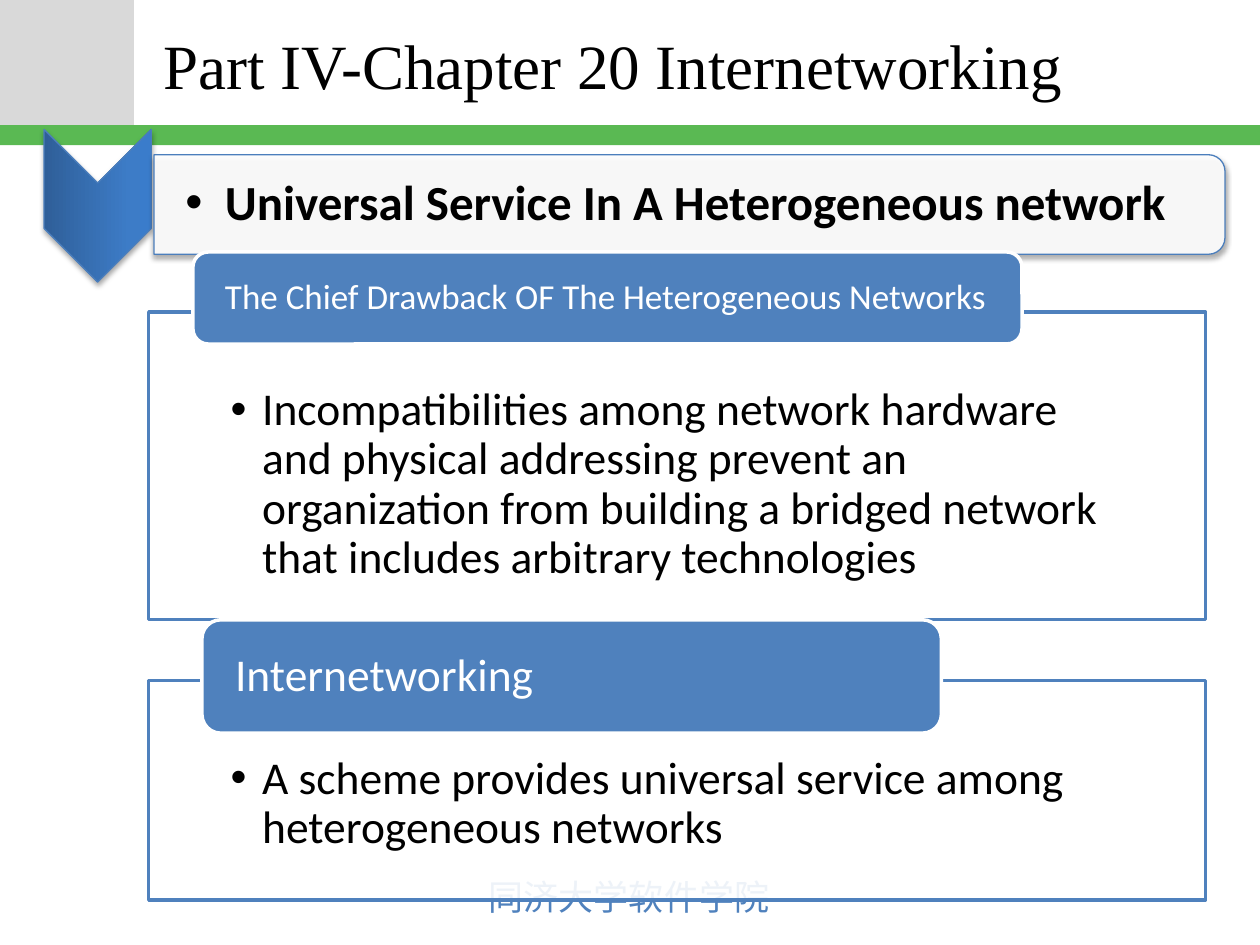
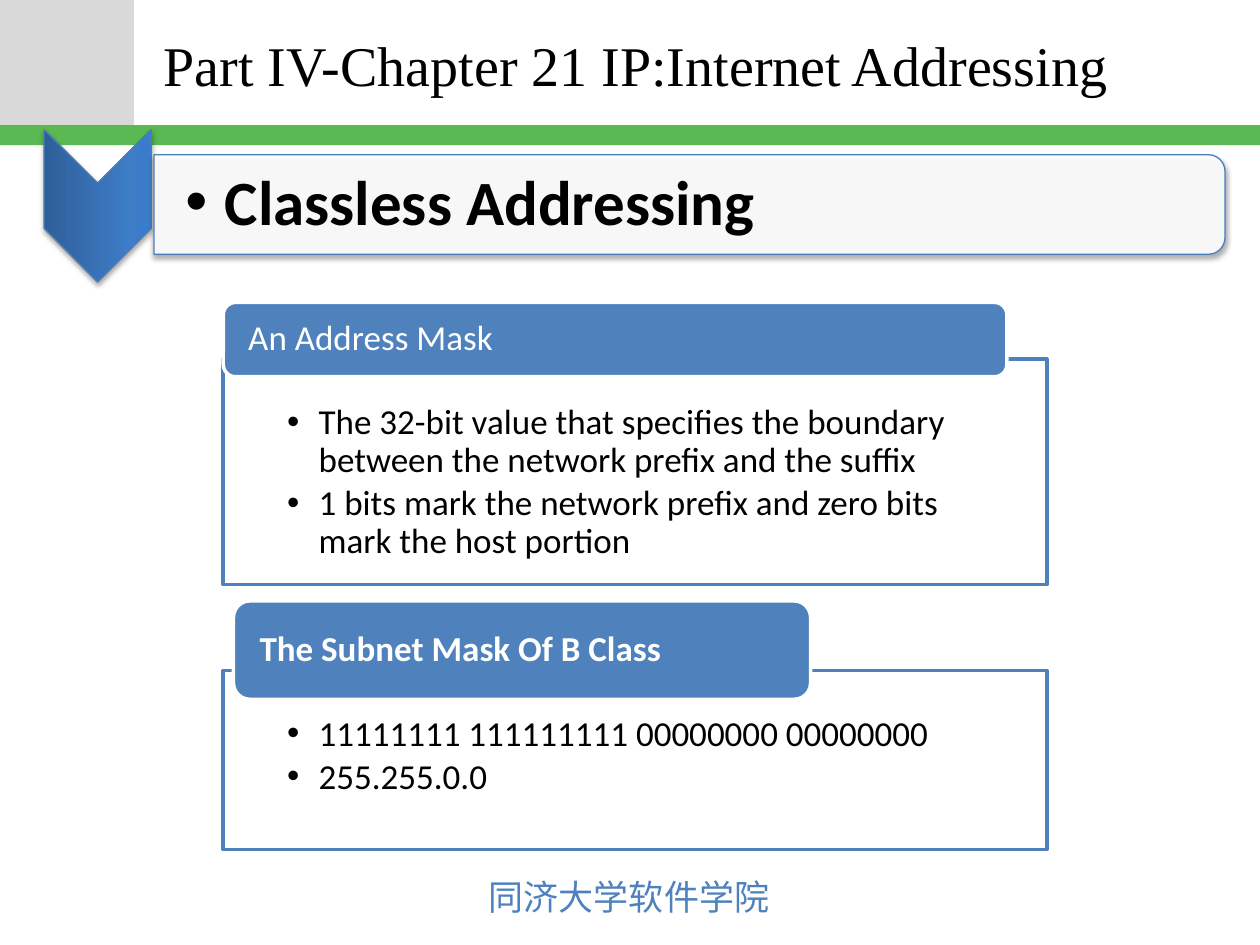
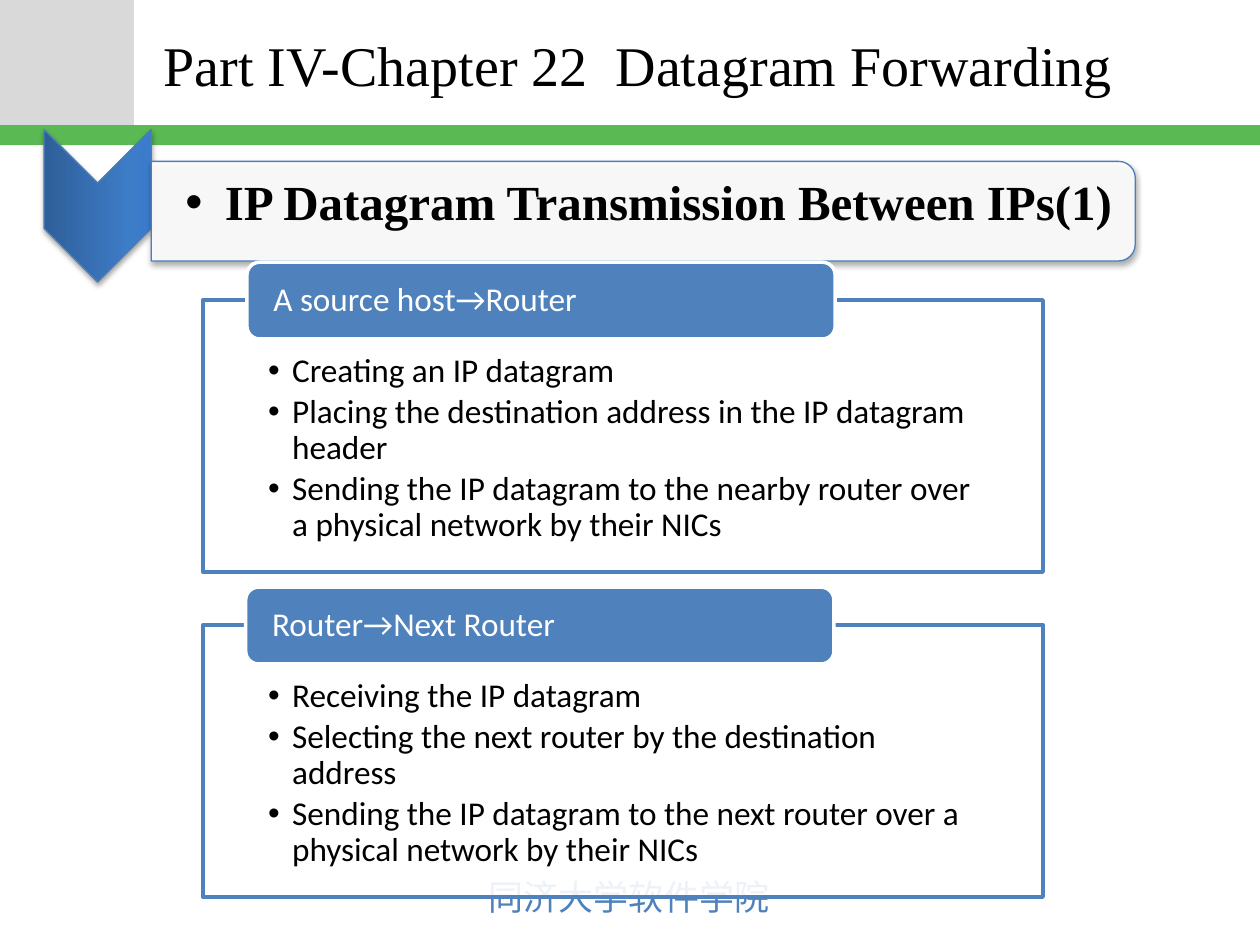
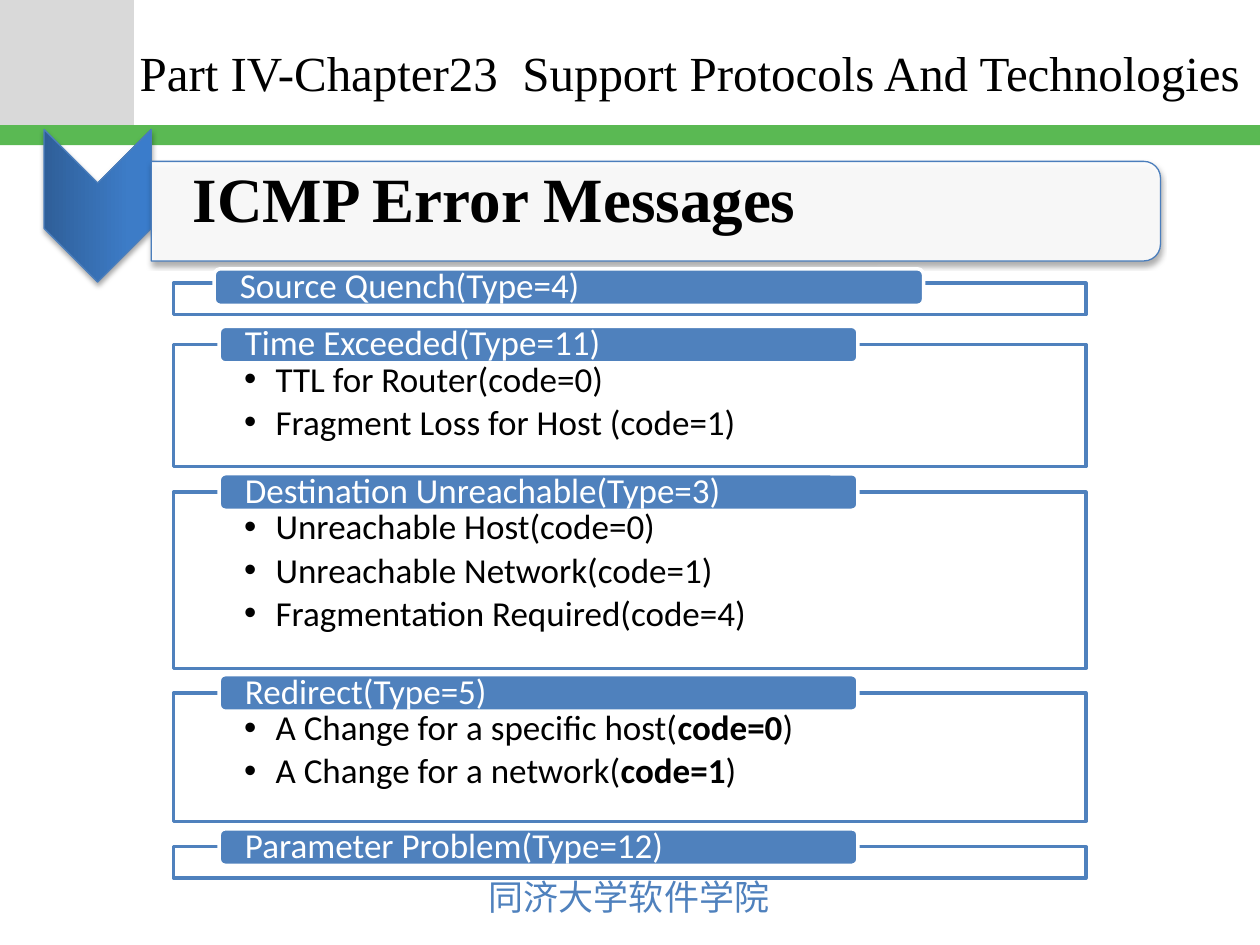
from copy import deepcopy
from dataclasses import dataclass

from lxml import etree
from pptx import Presentation
from pptx import util as u
from pptx.dml import color
from pptx.enum import shapes, text
from pptx.oxml import ns
from pptx.shapes import autoshape
from pptx.slide import Slide
from pptx.text import text as txt

BLUE, EDGE, GREEN, GREY = "4F81BD", "4B7EBC", "5AB953", "D9D9D9"
BLACK, WHITE = "000000", "FFFFFF"
ARROW_STOPS = ((0, "2F5F99"), (0.8, "3D7CC7"), (1, "3A7CCB"))
SERIF, SANS, CHINESE = "Times New Roman", "Calibri", "Noto Sans CJK JP"
PRESET = shapes.MSO_SHAPE
MIDDLE = text.MSO_ANCHOR.MIDDLE


@dataclass(frozen=True)
class Box:
    left: float
    top: float
    width: float
    height: float

    def lengths(self) -> list[u.Length]:
        return [u.Pt(v) for v in (self.left, self.top, self.width, self.height)]


@dataclass(frozen=True)
class Style:
    size: float
    ink: str = BLACK
    font: str = SANS
    bold: bool = False


@dataclass(frozen=True)
class Heading:
    words: str
    style: Style
    panel: Box
    words_box: Box
    indent: float = 22.5


@dataclass(frozen=True)
class Section:
    label: str
    tab: Box
    top: float
    height: float
    points: tuple[str, ...] = ()
    label_size: float = 20
    label_bold: bool = False


@dataclass(frozen=True)
class Chapter:
    title: str
    title_size: float
    heading: Heading
    left: float
    width: float
    insets: tuple[float, float, float, float]
    indent: float
    point_size: float
    tab_inset: float
    sections: tuple[Section, ...]
    title_box: Box = Box(86.4, 1.4, 619.2, 70.6)


def rgb(code: str) -> color.RGBColor:
    return color.RGBColor.from_string(code)


def add_child(parent: etree._Element, tag: str, **values: str) -> etree._Element:
    child = etree.SubElement(parent, ns.qn(tag))
    for key, value in values.items():
        child.set(key, value)
    return child


def set_opacity(shape: autoshape.Shape, percent: int) -> None:
    ink = shape.element.spPr.find(ns.qn("a:solidFill")).find(ns.qn("a:srgbClr"))
    add_child(ink, "a:alpha", val=str(percent * 1000))


def add_shadow(shape: autoshape.Shape) -> None:
    effects = shape.element.spPr.find(ns.qn("a:effectLst"))
    shadow = add_child(effects, "a:outerShdw", blurRad=str(u.Pt(3.1)),
                       dist=str(u.Pt(1.8)), dir="5400000", rotWithShape="0")
    add_child(add_child(shadow, "a:srgbClr", val=BLACK), "a:alpha", val="35000")


def add_block(slide: Slide, preset: shapes.MSO_SHAPE, box: Box, fill: str,
              line: str = "", weight: float = 2) -> autoshape.Shape:
    block = slide.shapes.add_shape(preset, *box.lengths())
    block.shadow.inherit = False
    block.fill.solid()
    block.fill.fore_color.rgb = rgb(fill)
    if line:
        block.line.color.rgb = rgb(line)
        block.line.width = u.Pt(weight)
    else:
        block.line.fill.background()
    return block


def set_frame(frame: txt.TextFrame, anchor: text.MSO_ANCHOR,
              insets: tuple[float, float, float, float]) -> None:
    frame.word_wrap = True
    frame.vertical_anchor = anchor
    (frame.margin_left, frame.margin_top,
     frame.margin_right, frame.margin_bottom) = map(u.Pt, insets)


def space_paragraph(paragraph: txt._Paragraph, after: int, indent: float = 0) -> None:
    paragraph.line_spacing = 0.9
    properties = paragraph._p.get_or_add_pPr()
    add_child(add_child(properties, "a:spcAft"), "a:spcPct", val=str(after * 1000))
    if indent:
        paragraph.level = 1
        properties.set("marL", str(u.Pt(indent)))
        properties.set("indent", str(u.Pt(-indent)))
        add_child(properties, "a:buFont", typeface="Arial")
        add_child(properties, "a:buChar", char="•")


def style_run(run: txt._Run, style: Style, bold: bool = False) -> None:
    run.font.size = u.Pt(style.size)
    run.font.name = style.font
    run.font.bold = style.bold or bold
    run.font.color.rgb = rgb(style.ink)
    if style.font == CHINESE:
        add_child(run._r.get_or_add_rPr(), "a:ea", typeface=CHINESE)


def write(paragraph: txt._Paragraph, words: str, style: Style) -> None:
    paragraph.alignment = text.PP_ALIGN.LEFT
    for position, part in enumerate(words.split("*")):
        run = paragraph.add_run()
        run.text = part
        style_run(run, style, bold=position % 2 == 1)


def add_text(slide: Slide, box: Box, words: str, style: Style,
             insets: tuple[float, float, float, float] = (7.2, 3.6, 7.2, 3.6),
             ) -> autoshape.Shape:
    words_box = slide.shapes.add_textbox(*box.lengths())
    set_frame(words_box.text_frame, MIDDLE, insets)
    write(words_box.text_frame.paragraphs[0], words, style)
    return words_box


def add_turned(slide: Slide, preset: shapes.MSO_SHAPE, box: Box) -> autoshape.Shape:
    middle_x, middle_y = box.left + box.width / 2, box.top + box.height / 2
    upright = Box(middle_x - box.height / 2, middle_y - box.width / 2, box.height, box.width)
    turned = add_block(slide, preset, upright, WHITE, EDGE, 0.75)
    turned.rotation = 90
    add_shadow(turned)
    return turned


def add_arrow(slide: Slide) -> None:
    arrow = add_turned(slide, PRESET.CHEVRON, Box(25.2, 74, 61.2, 87.2))
    arrow.fill.gradient()
    arrow.fill.gradient_angle = 90
    stops = arrow.element.spPr.find(ns.qn("a:gradFill")).find(ns.qn("a:gsLst"))
    stops.append(deepcopy(stops[0]))
    for stop, (position, code) in zip(arrow.fill.gradient_stops, ARROW_STOPS):
        stop.position = position
        stop.color.rgb = rgb(code)


def add_heading(slide: Slide, heading: Heading) -> None:
    panel = add_turned(slide, PRESET.ROUND_2_SAME_RECTANGLE, heading.panel)
    set_opacity(panel, 90)
    words = add_text(slide, heading.words_box, heading.words, heading.style,
                     (18, 1.4, 1.4, 1.4))
    if heading.indent:
        space_paragraph(words.text_frame.paragraphs[0], 15, heading.indent)


def add_section(slide: Slide, chapter: Chapter, section: Section) -> None:
    card = add_block(slide, PRESET.RECTANGLE,
                     Box(chapter.left, section.top, chapter.width, section.height),
                     WHITE, BLUE)
    set_opacity(card, 90)
    set_frame(card.text_frame, text.MSO_ANCHOR.TOP, chapter.insets)
    for position, point in enumerate(section.points):
        frame = card.text_frame
        paragraph = frame.add_paragraph() if position else frame.paragraphs[0]
        space_paragraph(paragraph, 15, chapter.indent)
        write(paragraph, point, Style(chapter.point_size))

    tab = add_block(slide, PRESET.ROUNDED_RECTANGLE, section.tab, BLUE, WHITE)
    set_frame(tab.text_frame, MIDDLE, (chapter.tab_inset, 0, chapter.tab_inset, 0))
    label = tab.text_frame.paragraphs[0]
    space_paragraph(label, 35)
    write(label, section.label, Style(section.label_size, WHITE, bold=section.label_bold))


def move_shared_parts(slide: Slide) -> None:
    layout = slide.slide_layout
    for placeholder in list(layout.placeholders):
        layout.shapes.element.remove(placeholder.element)
    corner = add_block(slide, PRESET.RECTANGLE, Box(0, 0, 76.5, 71.5), GREY)
    band = add_block(slide, PRESET.RECTANGLE, Box(0, 71.5, 720, 11.5), GREEN)
    school = add_text(slide, Box(272.2, 496.8, 176.4, 31.7), "同济大学软件学院",
                      Style(20, BLUE, CHINESE))
    school.text_frame.word_wrap = False
    school.text_frame.vertical_anchor = text.MSO_ANCHOR.TOP
    school.text_frame.auto_size = text.MSO_AUTO_SIZE.SHAPE_TO_FIT_TEXT
    for part in (corner, band, school):
        layout.shapes.element.append(part.element)


def add_chapter(slide: Slide, chapter: Chapter) -> None:
    add_text(slide, chapter.title_box, chapter.title,
             Style(chapter.title_size, font=SERIF))
    add_arrow(slide)
    add_heading(slide, chapter.heading)
    for section in chapter.sections:
        add_section(slide, chapter, section)


WIDE_PANEL = Box(88, 88.4, 612, 56.9)
WIDE_WORDS = Box(88, 91.4, 610, 51.1)

CHAPTERS = (
    Chapter(
        "Part IV-Chapter 20 Internetworking", 36,
        Heading("Universal Service In A Heterogeneous network",
                Style(28, bold=True), WIDE_PANEL, WIDE_WORDS),
        left=85, width=604, insets=(46.8, 42.5, 46.8, 14.4),
        indent=18, point_size=26, tab_inset=15.8,
        sections=(
            Section("The Chief Drawback OF The Heterogeneous Networks",
                    Box(110.2, 144, 473.8, 52.6), 178.4, 175.7,
                    ("Incompatibilities among network hardware and physical addressing "
                     "prevent an organization from building a bridged network that "
                     "includes arbitrary technologies",)),
            Section("Internetworking", Box(115.4, 354.2, 422.6, 64.8), 388.9, 125.3,
                    ("A scheme provides universal service among heterogeneous networks",),
                    label_size=26),
        ),
    ),
    Chapter(
        "Part IV-Chapter 21 IP:Internet Addressing", 32,
        Heading("Classless Addressing", Style(36, bold=True), WIDE_PANEL, WIDE_WORDS),
        left=127.4, width=470.9, insets=(36.7, 25.9, 36.7, 11.5),
        indent=18, point_size=20, tab_inset=12.2,
        sections=(
            Section("An Address Mask", Box(127.6, 172.8, 447.8, 42.5), 205.2, 128.9,
                    ("The 32-bit value that specifies the boundary between the network "
                     "prefix and the suffix",
                     "1 bits mark the network prefix and zero bits mark the host portion")),
            Section("The Subnet Mask Of B Class",
                    Box(133.4, 343.4, 329.8, 56.2), 383.2, 102.2,
                    ("11111111 111111111 00000000 00000000", "255.255.0.0"),
                    label_bold=True),
        ),
    ),
    Chapter(
        "Part IV-Chapter 22  Datagram Forwarding", 32,
        Heading("IP Datagram Transmission Between IPs(1)",
                Style(28, font=SERIF, bold=True),
                Box(86.4, 92.2, 562.3, 56.9), Box(88, 91.4, 560.2, 51.1)),
        left=115.9, width=480.2, insets=(37.4, 31, 37.4, 10.8),
        indent=13.7, point_size=19, tab_inset=13,
        sections=(
            Section("A source host→Router", Box(141.1, 149.8, 336.2, 43.9), 171.4, 155.5,
                    ("Creating an IP datagram",
                     "Placing the destination address in the IP datagram header",
                     "Sending the IP datagram to the nearby router over a physical "
                     "network by their NICs"), label_size=19),
            Section("Router→Next Router", Box(140.4, 335.5, 336.2, 43.9), 357.1, 155.5,
                    ("Receiving the IP datagram",
                     "Selecting the next router by the destination address",
                     "Sending the IP datagram to the next router over a physical "
                     "network by their NICs"), label_size=19),
        ),
    ),
    Chapter(
        "Part IV-Chapter23  Support Protocols And Technologies", 28,
        Heading("ICMP Error Messages", Style(36, font=SERIF, bold=True),
                Box(86.4, 92.2, 576.7, 56.9), Box(92.2, 87.1, 574.6, 51.1), indent=0),
        left=99.2, width=521.3, insets=(40.3, 10.1, 40.3, 11.5),
        indent=18, point_size=20, tab_inset=13.7,
        title_box=Box(72.7, 5.8, 647.3, 70.6),
        sections=(
            Section("Source Quench(Type=4)", Box(122.4, 153.6, 405.4, 20.9), 161.8, 18),
            Section("Time Exceeded(Type=11)", Box(125.3, 186.5, 365, 20.9), 196.8, 69.8,
                    ("TTL for Router(code=0)", "Fragment Loss for Host (code=1)")),
            Section("Destination Unreachable(Type=3)",
                    Box(125.3, 270.7, 365, 20.9), 281.2, 100.8,
                    ("Unreachable Host(code=0)", "Unreachable Network(code=1)",
                     "Fragmentation Required(code=4)")),
            Section("Redirect(Type=5)", Box(125.3, 385.5, 365, 20.9), 396, 73.4,
                    ("A Change for a specific host(*code=0*)",
                     "A Change for a network(*code=1*)")),
            Section("Parameter Problem(Type=12)",
                    Box(125.3, 473.6, 365, 20.9), 483.8, 18),
        ),
    ),
)


def main() -> None:
    deck = Presentation()
    deck.slide_width, deck.slide_height = u.Pt(720), u.Pt(540)
    blank = deck.slide_layouts[6]
    for position, chapter in enumerate(CHAPTERS):
        slide = deck.slides.add_slide(blank)
        if position == 0:
            move_shared_parts(slide)
        add_chapter(slide, chapter)
    deck.save("out.pptx")


if __name__ == "__main__":
    main()
